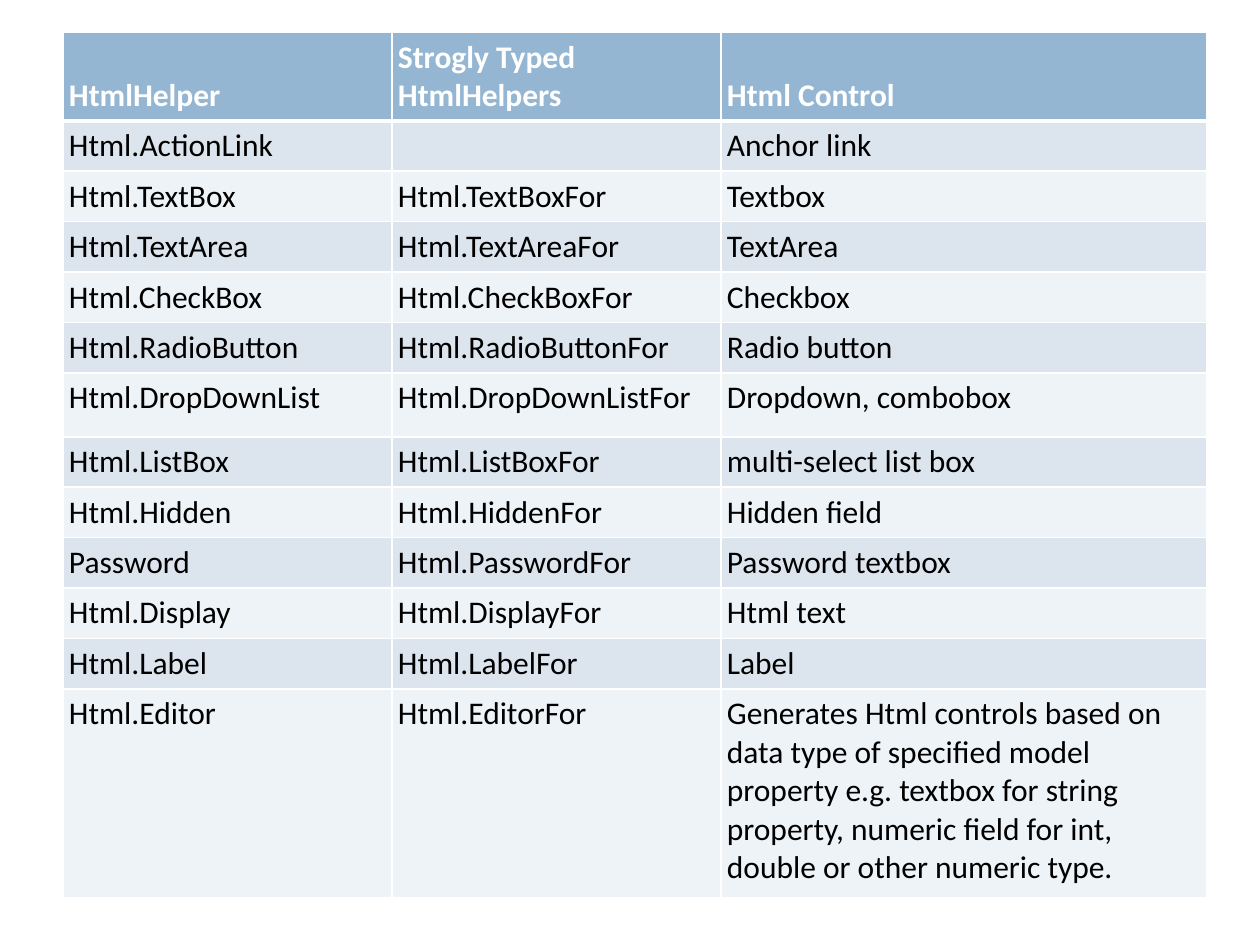
from lxml.etree import SubElement
from pptx import Presentation
from pptx.dml.color import RGBColor as RGB
from pptx.enum.text import MSO_ANCHOR as Anchor
from pptx.oxml.ns import qn
from pptx.util import Pt

# Content
HEADINGS = ("HtmlHelper", "Strogly Typed HtmlHelpers", "Html Control")
HELPERS = [
    ("Html.ActionLink", "", "Anchor link"),
    ("Html.TextBox", "Html.TextBoxFor", "Textbox"),
    ("Html.TextArea", "Html.TextAreaFor", "TextArea"),
    ("Html.CheckBox", "Html.CheckBoxFor", "Checkbox"),
    ("Html.RadioButton", "Html.RadioButtonFor", "Radio button"),
    ("Html.DropDownList", "Html.DropDownListFor", "Dropdown, combobox"),
    ("Html.ListBox", "Html.ListBoxFor", "multi-select list box"),
    ("Html.Hidden", "Html.HiddenFor", "Hidden field"),
    ("Password", "Html.PasswordFor", "Password textbox"),
    ("Html.Display", "Html.DisplayFor", "Html text"),
    ("Html.Label", "Html.LabelFor", "Label"),
    ("Html.Editor", "Html.EditorFor",
     "Generates Html controls based on data type of specified model property "
     "e.g. textbox for string property, numeric field for int, double or "
     "other numeric type."),
]
COLORS = {"header": "94B6D2", "odd": "DCE5EE", "even": "EEF3F7",
          "white": "FFFFFF", "text": "000000"}

# Layout in px, 126 to the inch
PX = 914400 // 126
SLIDE_W, SLIDE_H = 1260, 945
LEFT, TOP, TABLE_H = 63, 32, 872
COLUMN_WIDTHS = (329, 329, 486)
HEADER_H, ROW_H = 78, 45
TALL_ROWS = {"Html.DropDownList": 64, "Html.Editor": 209}
INSET = 6


def add_borders(cell, bottom):
    props = cell._tc.get_or_add_tcPr()
    for side, width in (("L", 1), ("R", 1), ("T", 1), ("B", bottom)):
        line = SubElement(props, qn(f"a:ln{side}"), w=str(Pt(width)))
        fill = SubElement(line, qn("a:solidFill"))
        SubElement(fill, qn("a:srgbClr"), val=COLORS["white"])


def fill_cell(cell, text, band):
    is_header = band == "header"
    add_borders(cell, bottom=3 if is_header else 1)
    cell.fill.solid()
    cell.fill.fore_color.rgb = RGB.from_string(COLORS[band])
    cell.margin_left = cell.margin_right = INSET * PX
    cell.margin_top = cell.margin_bottom = INSET * PX
    cell.vertical_anchor = Anchor.BOTTOM if is_header else Anchor.TOP
    cell.text_frame.text = text
    font = cell.text_frame.paragraphs[0].font
    for run in cell.text_frame.paragraphs[0].runs:
        font = run.font
    font.name, font.size, font.bold = "Calibri", Pt(18), is_header
    font.color.rgb = RGB.from_string(COLORS["white" if is_header else "text"])


def main():
    deck = Presentation()
    deck.slide_width, deck.slide_height = SLIDE_W * PX, SLIDE_H * PX
    slide = deck.slides.add_slide(deck.slide_layouts[6])

    # Table grid
    rows = [HEADINGS, *HELPERS]
    frame = slide.shapes.add_table(
        len(rows), len(HEADINGS), LEFT * PX, TOP * PX,
        sum(COLUMN_WIDTHS) * PX, TABLE_H * PX)
    table = frame.table
    table.horz_banding = False
    for column, width in zip(table.columns, COLUMN_WIDTHS):
        column.width = width * PX

    # Rows, in alternating bands below the header
    for i, texts in enumerate(rows):
        band = "header" if i == 0 else ("even", "odd")[i % 2]
        height = HEADER_H if i == 0 else TALL_ROWS.get(texts[0], ROW_H)
        table.rows[i].height = height * PX
        for j, text in enumerate(texts):
            fill_cell(table.cell(i, j), text, band)
    frame.height = TABLE_H * PX

    deck.save("out.pptx")


if __name__ == "__main__":
    main()
